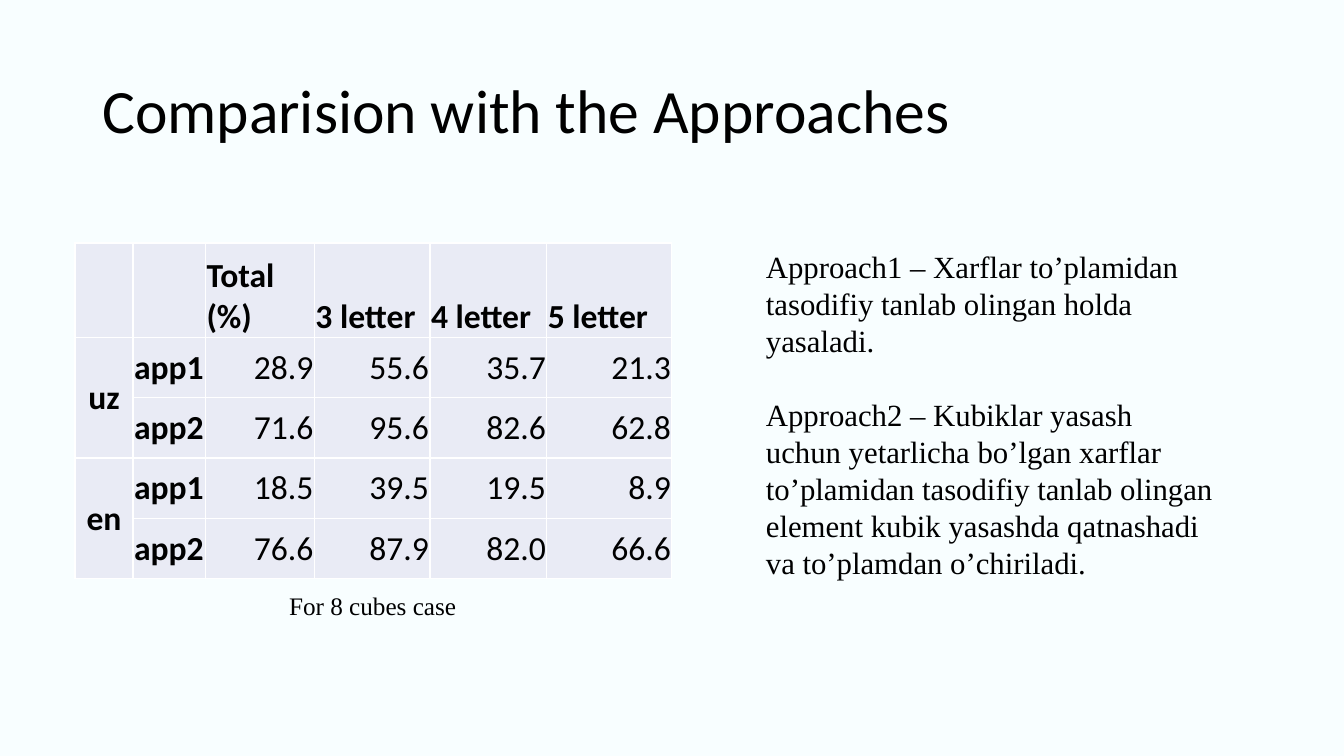
from lxml import etree
from pptx import Presentation
from pptx.dml.color import RGBColor
from pptx.enum.text import MSO_ANCHOR, MSO_AUTO_SIZE, PP_ALIGN
from pptx.util import Pt

LEFT, MID, RIGHT = PP_ALIGN.LEFT, PP_ALIGN.CENTER, PP_ALIGN.RIGHT
TOP, CENTER, BOTTOM = MSO_ANCHOR.TOP, MSO_ANCHOR.MIDDLE, MSO_ANCHOR.BOTTOM
GROW = MSO_AUTO_SIZE.SHAPE_TO_FIT_TEXT
SERIF = "Times New Roman"
NS = "http://schemas.openxmlformats.org/drawingml/2006/main"


def color(code):
    return RGBColor.from_string(code)


def write(frame, text, size=24, font="Calibri", bold=False, align=LEFT,
          anchor=TOP, wrap=True, gap=0, line=1.0):
    frame.word_wrap = wrap
    frame.vertical_anchor = anchor
    frame.text = text
    for par in frame.paragraphs:
        par.alignment = align
        par.line_spacing = line
        par.space_after = Pt(gap)
        par.font.size = Pt(size)
        for run in par.runs:
            run.font.size = Pt(size)
            run.font.name = font
            run.font.bold = bold
            run.font.color.rgb = color("000000")


deck = Presentation()
deck.slide_width, deck.slide_height = Pt(960), Pt(540)
slide = deck.slides.add_slide(deck.slide_layouts[6])
slide.background.fill.solid()
slide.background.fill.fore_color.rgb = color("F8FEFF")
shapes = slide.shapes

title = shapes.add_textbox(Pt(66), Pt(28.75), Pt(828), Pt(104.4))
write(title.text_frame, "Comparision with the Approaches", size=44,
      anchor=CENTER, line=0.9)

rows = [
    ["", "", "Total (%)", "3 letter", "4 letter", "5 letter"],
    ["uz", "app1", "28.9", "55.6", "35.7", "21.3"],
    ["", "app2", "71.6", "95.6", "82.6", "62.8"],
    ["en", "app1", "18.5", "39.5", "19.5", "8.9"],
    ["", "app2", "76.6", "87.9", "82.0", "66.6"],
]
widths = [41.4, 51.8, 77.8, 82.6, 83.5, 89.3]
heights = [67.6] + [43] * 4

table = shapes.add_table(len(rows), len(widths), Pt(53.6), Pt(173.6),
                         Pt(sum(widths)), Pt(sum(heights))).table
table.first_row = table.horz_banding = False
for col, width in zip(table.columns, widths):
    col.width = Pt(width)
for row, height in zip(table.rows, heights):
    row.height = Pt(height)

for r, row in enumerate(rows):
    for c, text in enumerate(row):
        cell = table.cell(r, c)
        cell.margin_left = cell.margin_right = cell.margin_top = Pt(0.75)
        cell.margin_bottom = 0
        head = r == 0
        align = LEFT if head or c == 1 else MID if c == 0 else RIGHT
        write(cell.text_frame, text, bold=head or c < 2, align=align)
        cell.vertical_anchor = BOTTOM if head else CENTER
        props = cell._tc.get_or_add_tcPr()
        for side in ("lnL", "lnR", "lnT", "lnB"):
            edge = etree.SubElement(props, f"{{{NS}}}{side}", w=str(Pt(1)))
            fill = etree.SubElement(edge, f"{{{NS}}}solidFill")
            etree.SubElement(fill, f"{{{NS}}}srgbClr", val="FFFFFF")
        cell.fill.solid()
        cell.fill.fore_color.rgb = color("E9EBF5")

for r in (1, 3):
    table.cell(r, 0).merge(table.cell(r + 1, 0))

notes = shapes.add_textbox(Pt(540), Pt(173.6), Pt(334.8), Pt(273.6))
write(notes.text_frame,
      "Approach1 – Xarflar to’plamidan tasodifiy tanlab olingan holda yasaladi.\n"
      "Approach2 – Kubiklar yasash uchun yetarlicha bo’lgan xarflar to’plamidan "
      "tasodifiy tanlab olingan element kubik yasashda qatnashadi va "
      "to’plamdan o’chiriladi.",
      size=22, font=SERIF, gap=26.4)

label = shapes.add_textbox(Pt(199.4), Pt(418.3), Pt(135.4), Pt(28.8))
write(label.text_frame, "For 8 cubes case", size=18, font=SERIF, wrap=False)
label.text_frame.auto_size = GROW

deck.save("out.pptx")
